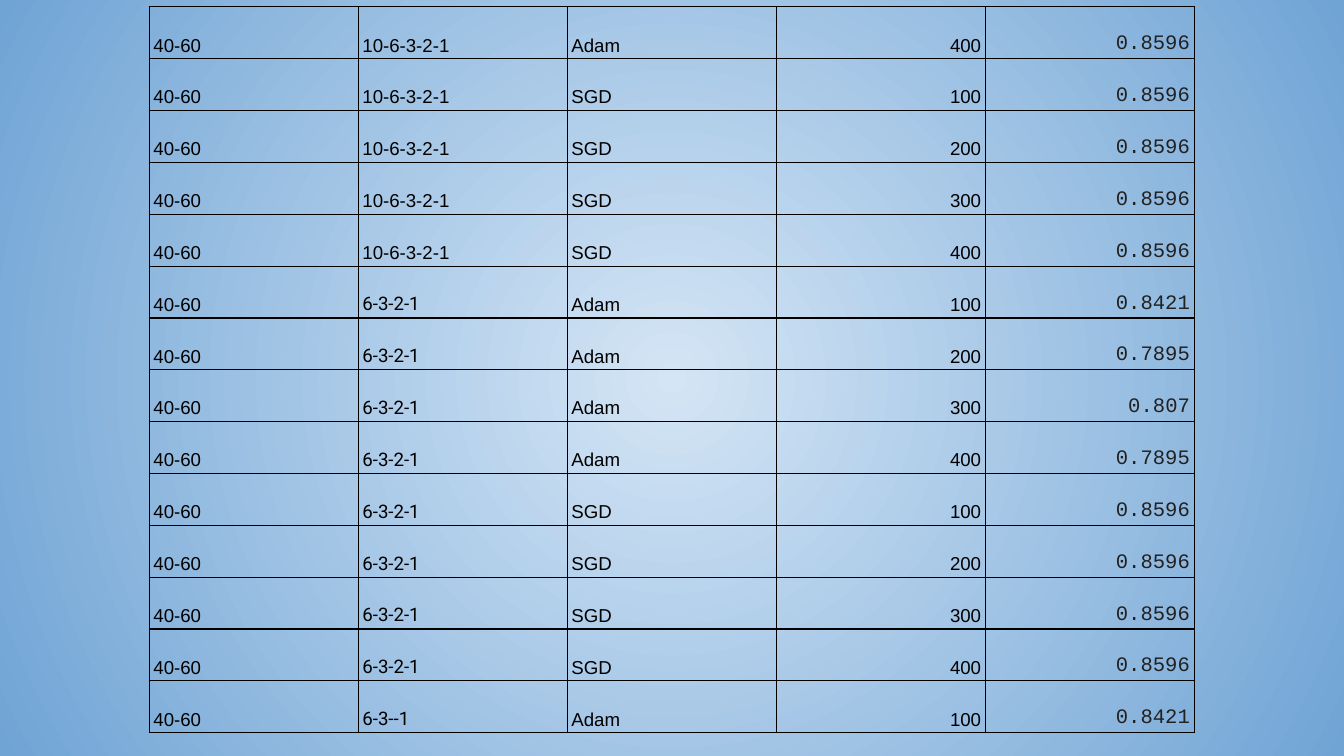
from dataclasses import dataclass

from lxml import etree
from pptx import Presentation
from pptx.dml.color import RGBColor
from pptx.enum.text import MSO_ANCHOR, PP_ALIGN
from pptx.oxml.ns import qn
from pptx.slide import Slide
from pptx.util import Cm, Pt

BOTTOM = MSO_ANCHOR.BOTTOM
LEFT = PP_ALIGN.LEFT
RIGHT = PP_ALIGN.RIGHT
BLANK_LAYOUT = 6

SPLIT = "40-60"
EPOCHS = (100, 200, 300, 400)
RESULTS = [
    ("10-6-3-2-1", "Adam", 400, "0.8596"),
    *[("10-6-3-2-1", "SGD", epochs, "0.8596") for epochs in EPOCHS],
    *[("6-3-2-1", "Adam", epochs, accuracy)
      for epochs, accuracy in zip(EPOCHS, ("0.8421", "0.7895", "0.807", "0.7895"))],
    *[("6-3-2-1", "SGD", epochs, "0.8596") for epochs in EPOCHS],
    ("6-3--1", "Adam", 100, "0.8421"),
]


def color(value):
    return RGBColor.from_string(value)


@dataclass
class ResultsPage:
    page: Slide
    font: str = "Arial"
    layers_font: str = "Roboto"
    accuracy_font: str = "Courier New"
    ink: str = "000000"
    accuracy_ink: str = "212121"
    center: str = "D4E5F5"
    edge: str = "70A4D5"

    def background(self):
        fill = self.page.background.fill
        fill.gradient()
        for stop, value in zip(fill.gradient_stops, (self.center, self.edge)):
            stop.color.rgb = color(value)
        linear = next(self.page.element.iter(qn("a:lin")))
        radial = etree.Element(qn("a:path"), path="circle")
        etree.SubElement(radial, qn("a:fillToRect"), l="50000", t="50000", r="50000", b="50000")
        linear.getparent().replace(linear, radial)

    def borders(self, cell):
        properties = cell._tc.get_or_add_tcPr()
        for side in ("a:lnL", "a:lnR", "a:lnT", "a:lnB"):
            line = etree.SubElement(properties, qn(side), w=str(Pt(0.75)))
            solid = etree.SubElement(line, qn("a:solidFill"))
            etree.SubElement(solid, qn("a:srgbClr"), val=self.ink)

    def cell(self, cell, text, align=LEFT, font=None, size=10, ink=None):
        self.borders(cell)
        cell.fill.background()
        cell.vertical_anchor = BOTTOM
        cell.margin_left = cell.margin_right = Cm(0.08)
        cell.margin_top = cell.margin_bottom = Cm(0.05)
        para = cell.text_frame.paragraphs[0]
        para.text = text
        para.alignment = align
        para.line_spacing = 1.15
        para.font.name = font or self.font
        para.font.size = Pt(size)
        para.font.color.rgb = color(ink or self.ink)

    def table(self, results, left, top, column_width, row_height):
        table = self.page.shapes.add_table(
            len(results), 5, Cm(left), Cm(top),
            Cm(5 * column_width), Cm(len(results) * row_height)).table
        table.first_row = table.horz_banding = False
        for column in table.columns:
            column.width = Cm(column_width)
        for row, (layers, optimizer, epochs, accuracy) in zip(table.rows, results):
            row.height = Cm(row_height)
            cells = list(row.cells)
            layers_font = self.font if layers.startswith("10") else self.layers_font
            self.cell(cells[0], SPLIT)
            self.cell(cells[1], layers, font=layers_font)
            self.cell(cells[2], optimizer)
            self.cell(cells[3], str(epochs), RIGHT)
            self.cell(cells[4], accuracy, RIGHT, self.accuracy_font, 11, self.accuracy_ink)


def main():
    deck = Presentation()
    deck.slide_width = Cm(25.4)
    deck.slide_height = Cm(14.29)
    results_page = ResultsPage(deck.slides.add_slide(deck.slide_layouts[BLANK_LAYOUT]))
    results_page.background()
    results_page.table(RESULTS, left=2.82, top=0.13, column_width=3.95, row_height=0.98)
    deck.save("out.pptx")


if __name__ == "__main__":
    main()
